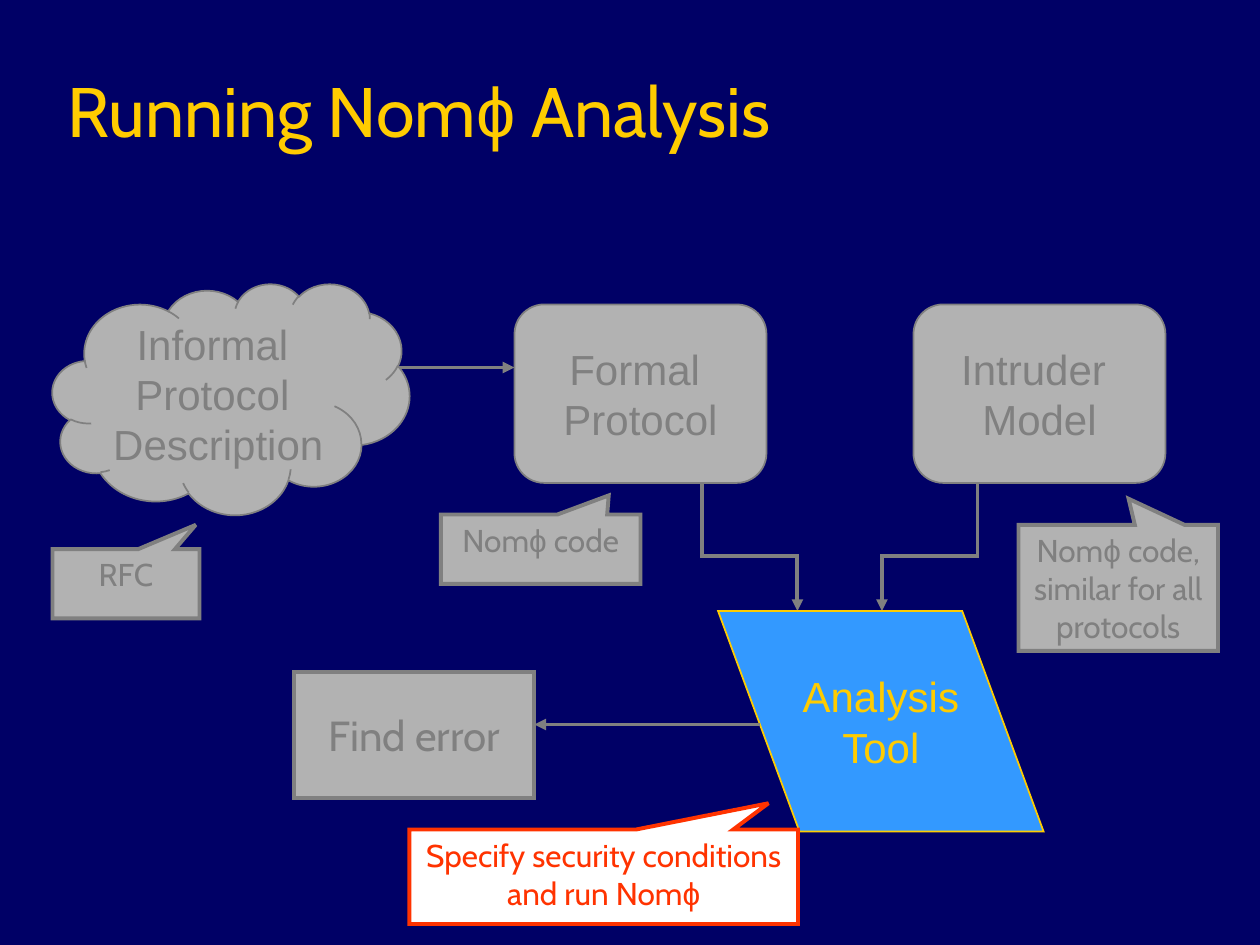
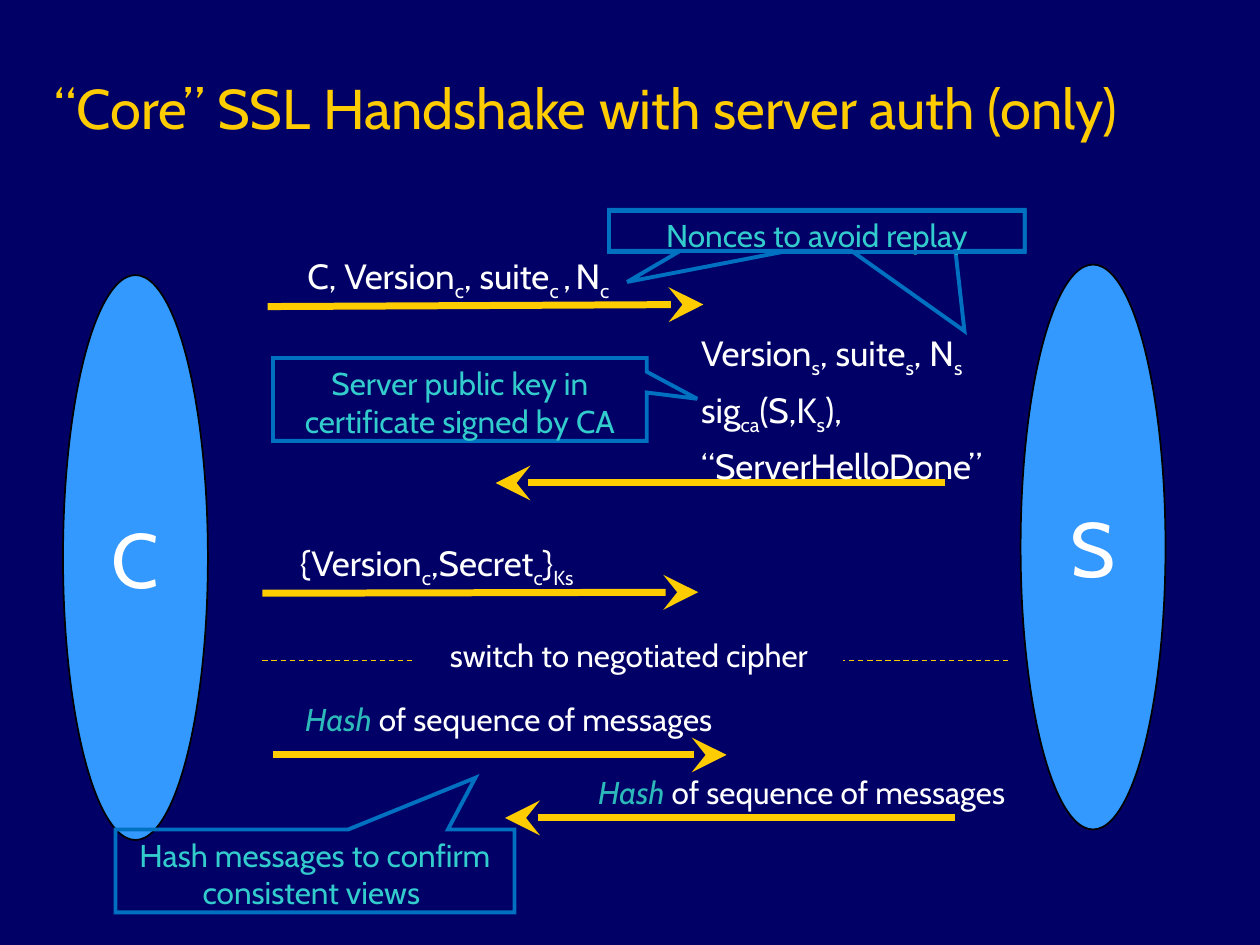
from collections import namedtuple

from lxml import etree
from pptx import Presentation
from pptx.dml.color import RGBColor
from pptx.enum.dml import MSO_LINE
from pptx.enum.shapes import MSO_CONNECTOR, MSO_SHAPE
from pptx.enum.text import MSO_ANCHOR, MSO_AUTO_SIZE, PP_ALIGN
from pptx.oxml.ns import qn
from pptx.util import Inches, Pt

COLUMNS, ROWS = 120, 90
CELL = Inches(10) / COLUMNS
BLANK_LAYOUT = 6

NAVY = RGBColor(0x00, 0x00, 0x66)
GOLD = RGBColor(0xFF, 0xCC, 0x00)
SKY = RGBColor(0x33, 0x99, 0xFF)
SILVER = RGBColor(0xB2, 0xB2, 0xB2)
GRAY = RGBColor(0x80, 0x80, 0x80)
WHITE = RGBColor(0xFF, 0xFF, 0xFF)
BLACK = RGBColor(0x00, 0x00, 0x00)
RED = RGBColor(0xFF, 0x33, 0x00)
BLUE = RGBColor(0x00, 0x70, 0xC0)
AQUA = RGBColor(0x33, 0xCC, 0xCC)
TEAL = RGBColor(0x2D, 0xB9, 0xB9)

BODY_FONT, BLOCK_FONT = "Cabin", "Arial"
LEFT, CENTER = PP_ALIGN.LEFT, PP_ALIGN.CENTER
TOP, MIDDLE, BOTTOM = MSO_ANCHOR.TOP, MSO_ANCHOR.MIDDLE, MSO_ANCHOR.BOTTOM
FIT_SHAPE = MSO_AUTO_SIZE.SHAPE_TO_FIT_TEXT
STRAIGHT, DASH = MSO_CONNECTOR.STRAIGHT, MSO_LINE.DASH
RECTANGLE, ELLIPSE, CLOUD = MSO_SHAPE.RECTANGLE, MSO_SHAPE.OVAL, MSO_SHAPE.CLOUD
CALLOUT, SLANTED = MSO_SHAPE.RECTANGULAR_CALLOUT, MSO_SHAPE.PARALLELOGRAM
ROUNDED = MSO_SHAPE.FLOWCHART_ALTERNATE_PROCESS

Region = namedtuple("Region", "page left top")


def cells(*values):
    """Turn grid cells into slide lengths."""
    return [round(value * CELL) for value in values]


def place(region, left, top):
    """Return the slide position of a point inside a region."""
    return cells(region.left + left, region.top + top)


def with_tool(before="", after=""):
    """Return the spans of a phrase around the tool's name."""
    spans = [(before + "Nom", {}), ("ϕ", {"font": BLOCK_FONT})]
    return spans + ([(after, {})] if after else [])


def subscripted(*parts):
    """Return spans in which every second part is a subscript."""
    return [(part, {"subscript": index % 2 == 1}) for index, part in enumerate(parts)]


def write(frame, lines, size=18, color=WHITE, font=BODY_FONT, align=CENTER,
          anchor=MIDDLE, before=0.0, wrap=False):
    """Fill a text frame; a line is a string or a list of styled spans."""
    frame.word_wrap = wrap
    frame.vertical_anchor = anchor
    for index, line in enumerate(lines):
        para = frame.add_paragraph() if index else frame.paragraphs[0]
        para.alignment = align
        para.space_before = Pt(before)
        for text, style in [(line, {})] if isinstance(line, str) else line:
            span = para.add_run()
            span.text = text
            span.font.name = style.get("font", font)
            span.font.size = Pt(size)
            span.font.color.rgb = style.get("color", color)
            span.font.italic = style.get("italic", False)
            if style.get("subscript"):
                span.font._element.set("baseline", "-25000")


def paint(shape, fill=None, line=None, width=1.0):
    """Set the fill and sharp-cornered outline of a shape, and drop its shadow."""
    shape.shadow.inherit = False
    if fill is None:
        shape.fill.background()
    else:
        shape.fill.solid()
        shape.fill.fore_color.rgb = fill
    if line is None:
        shape.line.fill.background()
    else:
        shape.line.color.rgb = line
        shape.line.width = Pt(width)
        etree.SubElement(shape.element.spPr.get_or_add_ln(), qn("a:miter"), lim="800000")


def add_block(region, kind, left, top, width, height, lines=(), fill=None, line=None,
              line_width=1.0, adjust=(), **text_format):
    """Add a preset shape with its text to a region."""
    shape = region.page.shapes.add_shape(kind, *place(region, left, top), *cells(width, height))
    for index, value in enumerate(adjust):
        shape.adjustments[index] = value
    paint(shape, fill, line, line_width)
    write(shape.text_frame, lines, **text_format)
    return shape


def add_callout(region, left, top, width, height, lines, tip, fill=None, line=BLUE, color=AQUA):
    """Add a boxed remark whose tail points to the tip."""
    return add_block(region, CALLOUT, left, top, width, height, lines, fill, line, 2.25, tip,
                     color=color, anchor=TOP, before=4.5, wrap=True)


def add_label(region, left, top, width, height, lines, **text_format):
    """Add a plain text box that fits its text."""
    box = region.page.shapes.add_textbox(*place(region, left, top), *cells(width, height))
    write(box.text_frame, lines, anchor=TOP, **text_format)
    box.text_frame.auto_size = FIT_SHAPE


def add_tip(shape, kind, size="med"):
    """Put an arrowhead at the end of a line."""
    etree.SubElement(shape.element.spPr.get_or_add_ln(), qn("a:tailEnd"),
                     type=kind, w=size, len=size)


def add_line(region, start, end, color=GRAY, width=2.25, tip=None, tip_size="med", dash=None):
    """Draw a straight line between two points of a region."""
    line = region.page.shapes.add_connector(
        STRAIGHT, *place(region, *start), *place(region, *end))
    line.line.color.rgb = color
    line.line.width = Pt(width)
    if dash is not None:
        line.line.dash_style = dash
    if tip:
        add_tip(line, tip, tip_size)
    etree.SubElement(line.element.spPr, qn("a:effectLst"))


def add_elbow(region, start, end, bend):
    """Draw an arrow that runs down, across at the bend row, and down."""
    corners = [(start[0], bend), (end[0], bend), end]
    builder = region.page.shapes.build_freeform(*place(region, *start))
    builder.add_line_segments([place(region, *point) for point in corners], close=False)
    elbow = builder.convert_to_shape()
    paint(elbow, None, GRAY, 2.25)
    add_tip(elbow, "triangle")


def add_page(deck, title, left, top, width, height, size):
    """Add a navy page with a gold title."""
    page = deck.slides.add_slide(deck.slide_layouts[BLANK_LAYOUT])
    page.background.fill.solid()
    page.background.fill.fore_color.rgb = NAVY
    box = page.shapes.add_textbox(*cells(left, top, width, height))
    write(box.text_frame, [title], size=size, color=GOLD, align=LEFT, anchor=BOTTOM, wrap=True)
    return page


def add_models(region):
    """Place the protocol description, the two models and their arrows."""
    gray_block = {"fill": SILVER, "line": GRAY, "color": GRAY, "size": 24, "font": BLOCK_FONT}
    for left, lines in ((82, ["Intruder ", "Model"]), (44, ["Formal ", "Protocol"])):
        add_block(region, ROUNDED, left, 2, 24, 17, lines, **gray_block)
    for start, end in ((61.85, 70.95), (88.1, 79)):
        add_elbow(region, (start, 19), (end, 31.2), 26)
    add_line(region, (30, 8), (44, 8), tip="triangle")
    add_block(region, CLOUD, 0, 0, 34, 22,
              ["Informal ", "Protocol ", "Description"], **gray_block)


def add_model_remarks(region):
    """Place the gray remarks below the models."""
    remarks = (
        (37, 0, 19, 6.6, with_tool(after=" code"), (0.341, -0.776)),
        (0, 3.3, 14, 6.6, "RFC", (0.475, -0.851)),
        (92, 1, 19, 12, with_tool(after=" code, similar for all protocols"), (0.052, -0.708)),
    )
    for left, top, width, height, line, tip in remarks:
        add_callout(region, left, top, width, height, [line], tip, SILVER, GRAY, GRAY)


def add_analysis(region):
    """Place the analysis tool, its result and the highlighted remark."""
    tool = add_block(region, SLANTED, 40.4, 0, 31, 21, ["Analysis", "Tool"], SKY, GOLD,
                     adjust=(0.369,), size=24, color=GOLD, font=BLOCK_FONT)
    tool.element.spPr.get_or_add_xfrm().set("flipH", "1")
    add_line(region, (44.4, 10.8), (22.9, 10.8), tip="triangle")
    add_block(region, RECTANGLE, 0, 5.8, 22.9, 12, ["Find error"], SILVER, GRAY, 2.25,
              size=24, color=GRAY, before=6)
    add_callout(region, 11, 20.8, 37, 9, [with_tool("Specify security conditions and run ")],
                (0.424, -0.778), WHITE, RED, RED)


def add_party(region, name):
    """Place one party of the handshake."""
    add_block(region, ELLIPSE, 0, 0, 13.8, 53.8, [name], SKY, BLACK, size=44, before=11)


def add_message(region, lines, width, height, start, end, size=20, align=CENTER):
    """Place a message and the arrow that carries it."""
    add_line(region, start, end, GOLD, 4, "stealth", "lg")
    add_label(region, 0, 0, width, height, lines, size=size, align=align, before=size / 4)


def add_messages(page):
    """Place the messages of the handshake from first to last."""
    hello = subscripted("C, Version", "c", ", suite", "c ", ",", " ", "N", "c")
    answer = [subscripted("Version", "s", ", suite", "s", ", N", "s"),
              subscripted("sig", "ca", "(S,K", "s", "),"), "“ServerHelloDone”"]
    secret = subscripted("{Version", "c", ",Secret", "c", "}", "Ks")
    digest = [("Hash", {"italic": True, "color": TEAL}), (" of sequence of messages", {})]
    add_message(Region(page, 26.3, 23.65), [hello], 34.7, 5.75, (-0.8, 5.55), (40.7, 5.35))
    add_message(Region(page, 65.6, 31), answer, 31.3, 16, (24.4, 15), (-18.4, 15), align=LEFT)
    add_message(Region(page, 25.9, 51), [secret], 31.4, 5.75, (-0.9, 5.5), (40.6, 5.4))
    add_message(Region(page, 25.7, 66.1), [digest], 45.5, 4.8, (0.3, 5.8), (43.5, 5.8), size=18)
    add_message(Region(page, 53.6, 73), [digest], 45.5, 4.8, (37.4, 4.9), (-5.5, 4.9), size=18)


def add_cipher_switch(region):
    """Place the dashed divider with its caption."""
    add_line(region, (0, 2.9), (71, 2.9), GOLD, 0.75, dash=DASH)
    add_block(region, RECTANGLE, 14.5, 0, 40.8, 4.8, ["switch to negotiated cipher"], NAVY,
              anchor=TOP, before=4.5)


def add_handshake_remarks(region):
    """Place the outlined remarks on the messages."""
    remarks = (
        (15, 14.1, 35.6, 7.9, ["Server public key in certificate signed by CA"], (0.635, -0.008)),
        (47, 0, 39.6, 3.9, ["Nonces to avoid replay"], (0.355, 2.456)),
        (47, 0.1, 39.6, 3.9, [], (-0.456, 1.231)),
        (0, 59, 38, 7.9, ["Hash messages to confirm consistent views "], (0.402, -1.123)),
    )
    for remark in remarks:
        add_callout(region, *remark)


def build_analysis_page(deck):
    """Build the page on running the analysis."""
    page = add_page(deck, with_tool("Running ", " Analysis"), 5.25, 3, 102, 12, 40)
    add_models(Region(page, 5, 27))
    add_analysis(Region(page, 28, 58.2))
    add_model_remarks(Region(page, 5, 49))


def build_handshake_page(deck):
    """Build the page on the handshake."""
    page = add_page(deck, "“Core” SSL Handshake with server auth (only)", 4, -1, 114, 15, 32)
    add_party(Region(page, 6, 26.2), "C")
    add_party(Region(page, 97.2, 25.2), "S")
    add_messages(page)
    add_cipher_switch(Region(page, 25, 60))
    add_handshake_remarks(Region(page, 11, 20))


def main():
    """Build and save the deck."""
    deck = Presentation()
    deck.slide_width, deck.slide_height = cells(COLUMNS, ROWS)
    build_analysis_page(deck)
    build_handshake_page(deck)
    deck.save("out.pptx")


if __name__ == "__main__":
    main()
